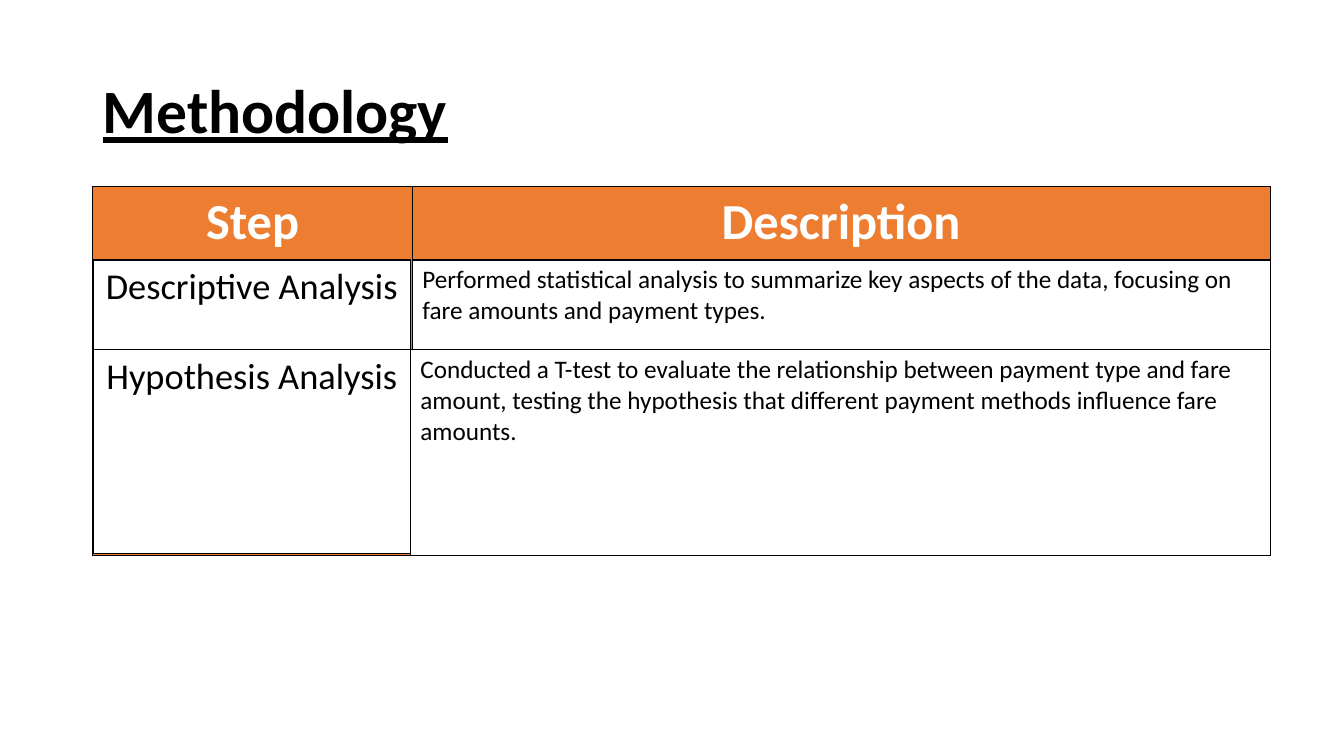
from dataclasses import dataclass

from lxml.etree import SubElement
from pptx import Presentation
from pptx.dml.color import RGBColor
from pptx.enum.text import MSO_ANCHOR as Anchor, PP_ALIGN as Align
from pptx.oxml.ns import qn
from pptx.util import Cm, Pt


@dataclass(frozen=True)
class Theme:
    font: str = "Calibri"
    black: str = "000000"
    white: str = "FFFFFF"
    orange: str = "ED7D31"
    title: int = 44
    header: int = 36
    step: int = 26
    body: int = 18
    border: float = 1


THEME = Theme()


def add_run(p, text, size, color, bold=False, underline=False):
    r = p.add_run()
    r.text = text
    r.font.name = THEME.font
    r.font.size = Pt(size)
    r.font.color.rgb = RGBColor.from_string(color)
    r.font.bold = bold
    r.font.underline = underline


def add_title(s, text):
    tf = s.shapes.add_textbox(Cm(2.34), Cm(1.02), Cm(29.21), Cm(3.68)).text_frame
    tf.word_wrap = True
    tf.vertical_anchor = Anchor.MIDDLE
    p = tf.paragraphs[0]
    p.line_spacing = 0.9
    add_run(p, text, THEME.title, THEME.black, bold=True, underline=True)


def add_borders(cell):
    tc_pr = cell._tc.get_or_add_tcPr()
    for side in ("a:lnL", "a:lnR", "a:lnT", "a:lnB"):
        ln = SubElement(tc_pr, qn(side), w=str(Pt(THEME.border)))
        fill = SubElement(ln, qn("a:solidFill"))
        SubElement(fill, qn("a:srgbClr"), val=THEME.black)


def add_row_table(s, left, top, widths, height, texts, size,
                  align=Align.CENTER, fill=THEME.white, color=THEME.black, bold=False):
    """Add a one-row table; lengths are in centimetres."""
    table = s.shapes.add_table(1, len(widths), Cm(left), Cm(top),
                               Cm(sum(widths)), Cm(height)).table
    table.first_row = table.horz_banding = False
    table.rows[0].height = Cm(height)
    for column, cell, width, text in zip(table.columns, table.rows[0].cells, widths, texts):
        column.width = Cm(width)
        add_borders(cell)
        cell.fill.solid()
        cell.fill.fore_color.rgb = RGBColor.from_string(fill)
        p = cell.text_frame.paragraphs[0]
        p.alignment = align
        add_run(p, text, size, color, bold)


def main():
    prs = Presentation()
    prs.slide_width, prs.slide_height = Cm(33.87), Cm(19.05)
    s = prs.slides.add_slide(prs.slide_layouts[6])

    add_title(s, "Methodology")

    # Orange header table, which also backs the steps
    add_row_table(s, 2.34, 4.7, [8.05, 21.62], 9.3, ["Step", "Description"],
                  THEME.header, fill=THEME.orange, color=THEME.white, bold=True)

    # Step names
    for top, height, step in [(6.55, 2.26, "Descriptive Analysis"),
                              (8.81, 5.13, "Hypothesis Analysis")]:
        add_row_table(s, 2.36, top, [7.98], height, [step], THEME.step)

    # Step descriptions
    descriptions = [
        (10.39, 6.55, 21.62, 2.26,
         "Performed statistical analysis to summarize key aspects of the data, "
         "focusing on fare amounts and payment types."),
        (10.34, 8.81, 21.67, 5.18,
         "Conducted a T-test to evaluate the relationship between payment type and "
         "fare amount, testing the hypothesis that different payment methods "
         "influence fare amounts."),
    ]
    for left, top, width, height, text in descriptions:
        add_row_table(s, left, top, [width], height, [text], THEME.body, align=Align.LEFT)

    prs.save("out.pptx")


if __name__ == "__main__":
    main()
